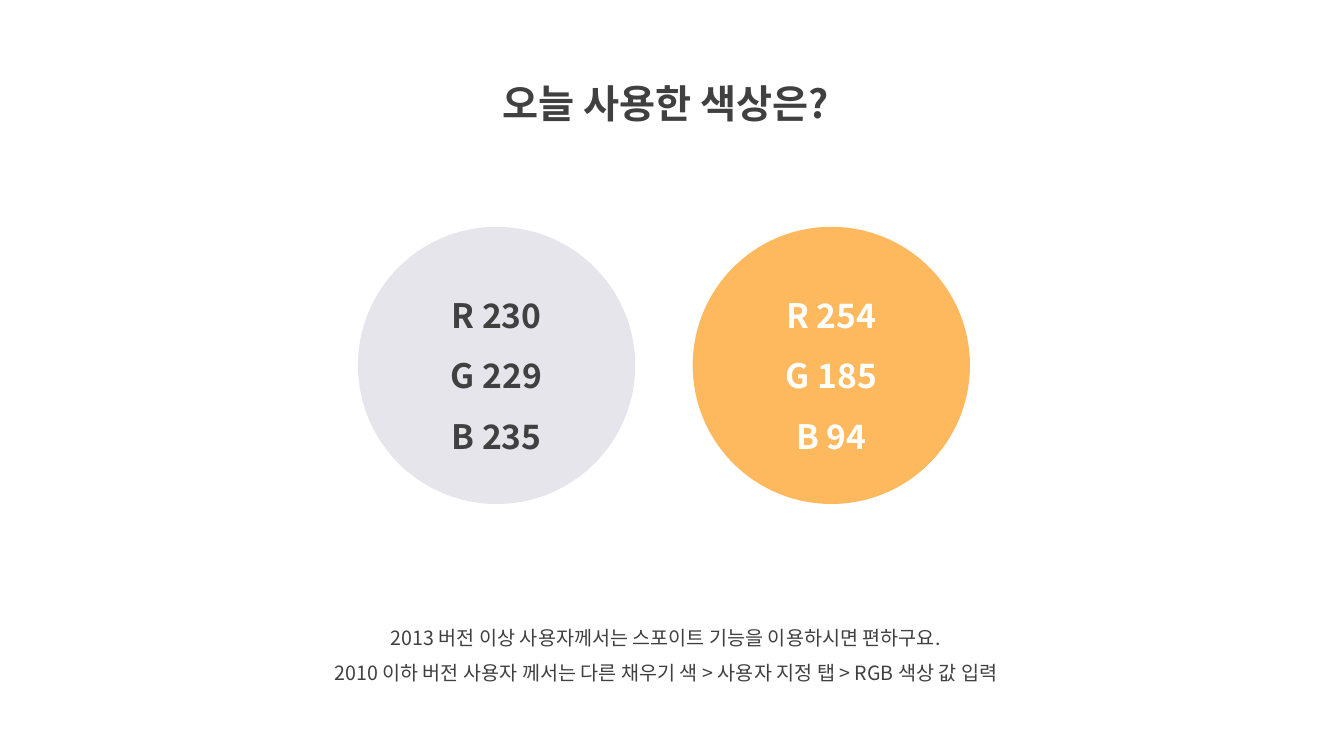
import pptx
import pptx.util
import pptx.dml.color
import pptx.enum.shapes
import pptx.enum.text
import pptx.oxml.ns
import lxml.etree

Inches = pptx.util.Inches
FONT = "Noto Sans CJK KR"
COLORS = {"dark": "404040", "white": "FFFFFF", "gray": "E6E5EB", "amber": "FEB95E"}


def paint(name):
    return pptx.dml.color.RGBColor.from_string(COLORS[name])


def write(frame, lines, size, color, bold, anchor, fit):
    """Fill a text frame with centred lines in one format."""
    frame.text = "\n".join(lines)
    look = {"word_wrap": True, "vertical_anchor": anchor, "auto_size": fit}
    for key, value in look.items():
        setattr(frame, key, value)
    style = {"name": FONT, "size": pptx.util.Pt(size), "bold": bold}
    for para in frame.paragraphs:
        para.alignment = pptx.enum.text.PP_ALIGN.CENTER
        para.line_spacing = 1.5
        for run in para.runs:
            for key, value in style.items():
                setattr(run.font, key, value)
            run.font.color.rgb = paint(color)
            # Hangul takes the East Asian typeface
            props = run.font._element
            east = lxml.etree.SubElement(props, pptx.oxml.ns.qn("a:ea"))
            east.set("typeface", FONT)


top = pptx.enum.text.MSO_ANCHOR.TOP
middle = pptx.enum.text.MSO_ANCHOR.MIDDLE
grow = pptx.enum.text.MSO_AUTO_SIZE.SHAPE_TO_FIT_TEXT
fixed = pptx.enum.text.MSO_AUTO_SIZE.NONE

deck = pptx.Presentation()
deck.slide_width = Inches(13.33)
deck.slide_height = Inches(7.5)
slide = deck.slides.add_slide(deck.slide_layouts[5])

# Title
title = slide.shapes.title
place = {"left": 4.29, "top": 0.5, "width": 4.63, "height": 0.72}
for key, value in place.items():
    setattr(title, key, Inches(value))
write(title.text_frame, ["오늘 사용한 색상은?"], 28, "dark", True, top, grow)

# Usage hints
hints = [
    "2013 버전 이상 사용자께서는 스포이트 기능을 이용하시면 편하구요.",
    "2010 이하 버전 사용자 께서는 다른 채우기 색 > 사용자 지정 탭 > RGB 색상 값 입력",
]
note = slide.shapes.add_textbox(Inches(2.61), Inches(6.04), Inches(7.99), Inches(0.81))
write(note.text_frame, hints, 14, "dark", False, top, grow)

# Colour circles, labelled with their own RGB values
side = Inches(2.75)
for left, fill, ink in [(6.87, "amber", "white"), (3.55, "gray", "dark")]:
    disc = slide.shapes.add_shape(
        pptx.enum.shapes.MSO_SHAPE.OVAL, Inches(left), Inches(2.25), side, side)
    disc.shadow.inherit = False
    disc.fill.solid()
    disc.fill.fore_color.rgb = paint(fill)
    disc.line.fill.background()
    lines = [f"{tag} {value}" for tag, value in zip("RGB", paint(fill))]
    write(disc.text_frame, lines, 24, ink, True, middle, fixed)

deck.save("out.pptx")
